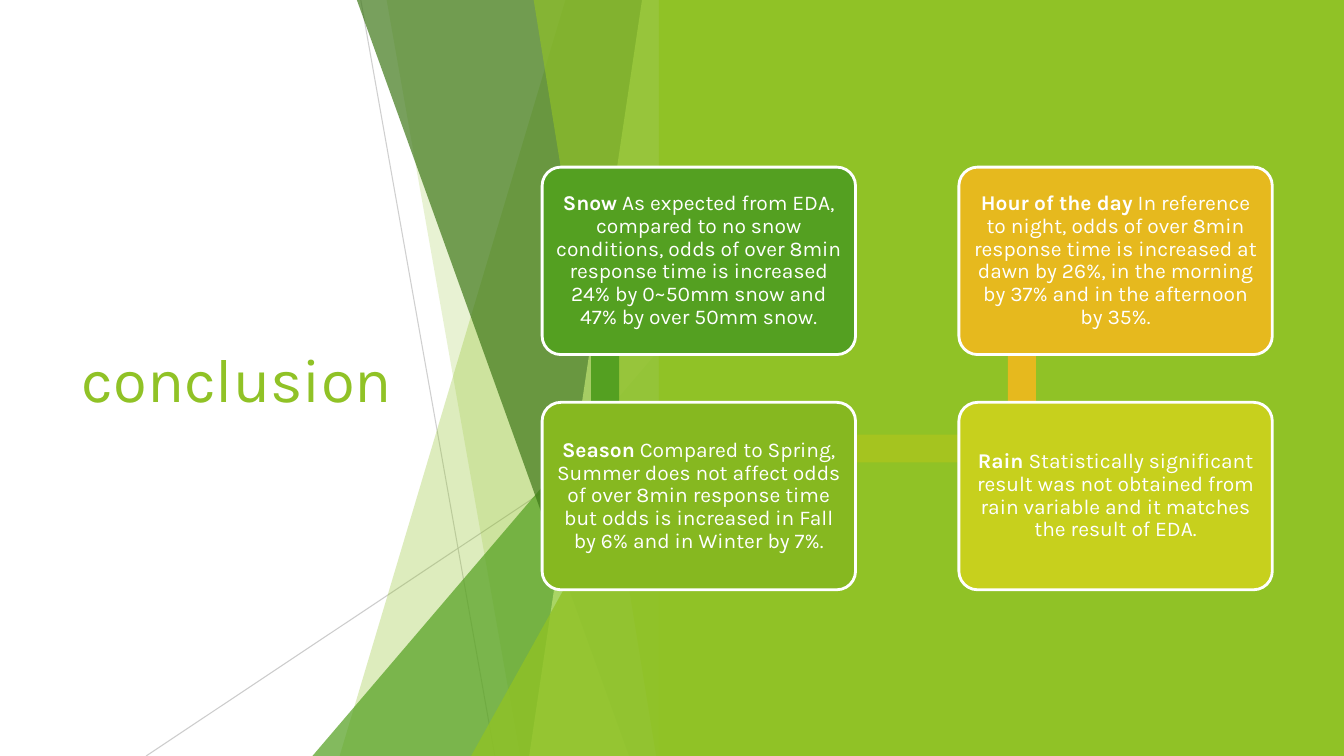
from lxml import etree
from pptx import Presentation
from pptx.dml.color import RGBColor
from pptx.enum.shapes import MSO_CONNECTOR, MSO_SHAPE
from pptx.enum.text import MSO_ANCHOR, PP_ALIGN
from pptx.oxml.ns import qn
from pptx.util import Pt

RECTANGLE = MSO_SHAPE.RECTANGLE
ROUNDED = MSO_SHAPE.ROUNDED_RECTANGLE
TRIANGLE = MSO_SHAPE.ISOSCELES_TRIANGLE
STRAIGHT = MSO_CONNECTOR.STRAIGHT
MIDDLE = MSO_ANCHOR.MIDDLE
LEFT, CENTER = PP_ALIGN.LEFT, PP_ALIGN.CENTER

FONT = "Karla"
COLORS = {
    "white": "FFFFFF",
    "lime": "90C226",
    "green": "54A021",
    "forest": "3F7819",
    "pale": "C0E474",
    "gray": "BFBFBF",
    "leaf": "86B820",
    "olive": "A5C41F",
    "yellow": "C7D01D",
    "amber": "E6B91E",
}

RAYS = [(221.8, 0, 126, 75), (0, 290.2, 375.1, 80)]
FACETS = [
    (75.6, 0, 236.9, "lime", 30),
    (203.3, 0, 108, "lime", 20),
    (0, 239.8, 256.3, "green", 72),
    (224.6, 0, 30.2, "forest", 70),
    (20.9, 0, 101.5, "pale", 70),
    (98.3, 0, 10.8, "lime", 65),
    (0, 283, 143, "lime", 80),
]

FINDINGS = [
    (0, 0, "green", "Snow",
     "As expected from EDA, compared to no snow conditions, odds of over 8min "
     "response time is increased 24% by 0~50mm snow and 47% by over 50mm snow."),
    (0, 1, "leaf", "Season",
     "Compared to Spring, Summer does not affect odds of over 8min response time "
     "but odds is increased in Fall by 6% and in Winter by 7%."),
    (1, 1, "yellow", "Rain",
     "Statistically significant result was not obtained from rain variable "
     "and it matches the result of EDA."),
    (1, 0, "amber", "Hour of the day",
     "In reference to night, odds of over 8min response time is increased at dawn "
     "by 26%, in the morning by 37% and in the afternoon by 35%."),
]
LINK_COLORS = ["green", "olive", "amber"]


def rgb(name):
    return RGBColor.from_string(COLORS[name])


def set_opacity(shape, percent):
    for color in shape._element.spPr.iter(qn("a:srgbClr")):
        etree.SubElement(color, qn("a:alpha")).set("val", str(percent * 1000))


def paint(shape, color, border=None):
    shape.shadow.inherit = False
    shape.fill.solid()
    shape.fill.fore_color.rgb = rgb(color)
    if border:
        shape.line.color.rgb = rgb(border)
        shape.line.width = Pt(2)
    else:
        shape.line.fill.background()
    return shape


def add_block(slide, kind, left, top, width, height, color, border=None):
    block = slide.shapes.add_shape(kind, Pt(left), Pt(top), Pt(width), Pt(height))
    return paint(block, color, border)


def write(shape, text, lead="", size=15, color="white", align=CENTER,
          spacing=None, inset=None):
    frame = shape.text_frame
    frame.word_wrap = True
    frame.vertical_anchor = MIDDLE
    if inset is not None:
        frame.margin_left = frame.margin_right = Pt(inset)
        frame.margin_top = frame.margin_bottom = Pt(inset)
    paragraph = frame.paragraphs[0]
    paragraph.alignment = align
    if spacing:
        paragraph.line_spacing = spacing
    for words, bold in ((lead, True), (text, False)):
        if words:
            run = paragraph.add_run()
            run.text = words
            run.font.name = FONT
            run.font.size = Pt(size)
            run.font.bold = bold
            run.font.color.rgb = rgb(color)


def place_title(slide, left, top, width, height):
    title = slide.shapes.title
    title.left, title.top = Pt(left), Pt(top)
    title.width, title.height = Pt(width), Pt(height)
    write(title, "conclusion", size=44, color="lime", align=LEFT)


def draw_facets(slide, left, top, width, height):
    right, bottom = left + width, top + height
    for start, drop, end, opacity in RAYS:
        ray = slide.shapes.add_connector(
            STRAIGHT, Pt(right - start), Pt(top + drop), Pt(right - end), Pt(bottom))
        ray.line.color.rgb = rgb("gray")
        ray.line.width = Pt(0.75)
        etree.SubElement(ray._element.spPr, qn("a:effectLst"))
        set_opacity(ray, opacity)
    for upper, drop, lower, color, opacity in FACETS:
        if drop:
            facet = add_block(slide, TRIANGLE, right - lower, top + drop,
                              lower, height - drop, color)
            facet.adjustments[0] = 1
        else:
            outline = slide.shapes.build_freeform(Pt(right - upper), Pt(top))
            outline.add_line_segments([
                (Pt(right), Pt(top)), (Pt(right), Pt(bottom)),
                (Pt(right - lower), Pt(bottom))])
            facet = paint(outline.convert_to_shape(), color)
        set_opacity(facet, opacity)


def draw_findings(slide, left, top, width, height):
    card_width, card_height = 223.9, 133.9
    step_x, step_y = width - card_width, height - card_height
    joint_x, joint_y, thickness = 45, 33, 20
    corners = [(left + col * step_x, top + row * step_y)
               for col, row, *_ in FINDINGS]
    for (x1, y1), (x2, y2), color in zip(corners, corners[1:], LINK_COLORS):
        add_block(slide, RECTANGLE,
                  min(x1, x2) + joint_x - thickness / 2,
                  min(y1, y2) + joint_y - thickness / 2,
                  abs(x2 - x1) + thickness, abs(y2 - y1) + thickness, color)
    for (x, y), (_, _, color, topic, result) in zip(corners, FINDINGS):
        card = add_block(slide, ROUNDED, x, y, card_width, card_height, color, "white")
        card.adjustments[0] = 0.1
        write(card, "\u00a0" + result, lead=topic, spacing=0.9, inset=4.4)


def main():
    deck = Presentation()
    deck.slide_width, deck.slide_height = Pt(960), Pt(540)
    slide = deck.slides.add_slide(deck.slide_layouts[5])
    place_title(slide, 51.1, 108.7, 279.4, 322.6)
    draw_facets(slide, 104.4, 0, 375.1, 540)
    add_block(slide, RECTANGLE, 470.6, 0, 489.4, 540, "lime")
    draw_findings(slide, 387.2, 119.4, 521.6, 301.9)
    deck.save("out.pptx")


main()
